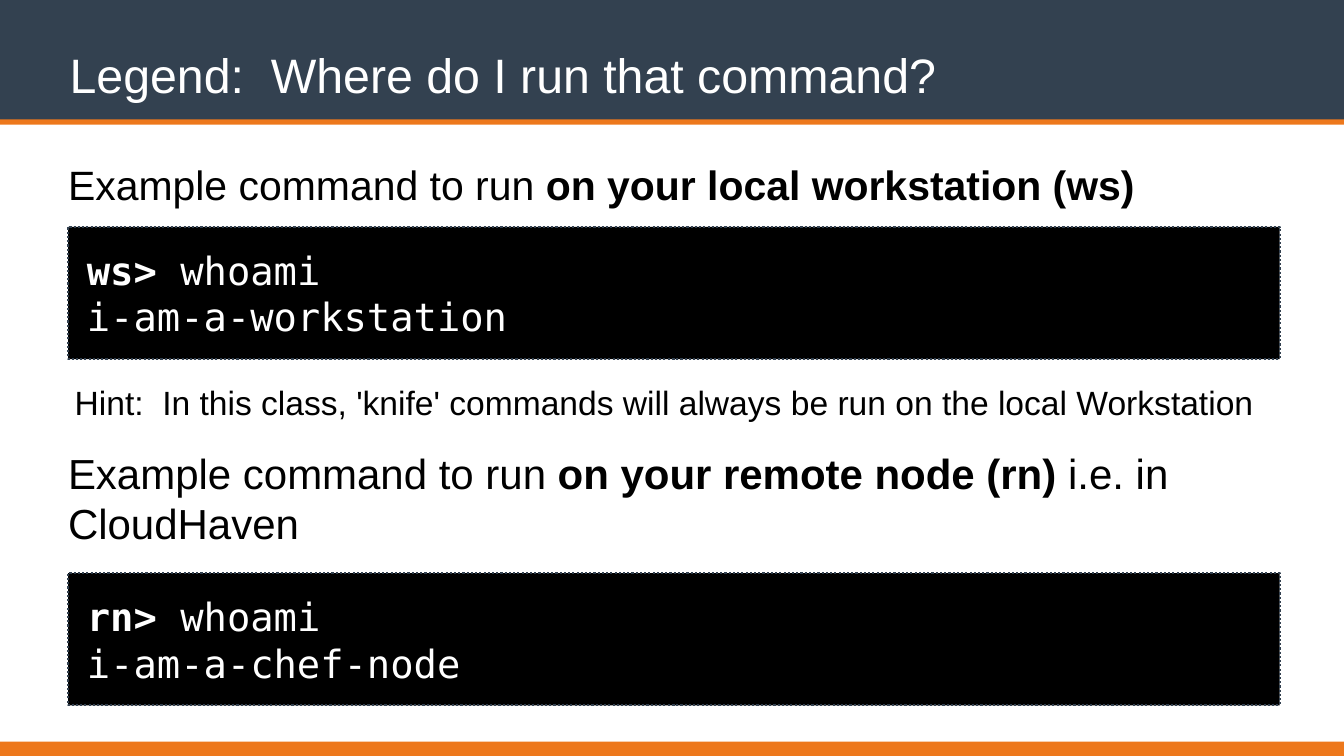
from lxml import etree
from pptx import Presentation
from pptx.dml.color import RGBColor
from pptx.enum.dml import MSO_LINE
from pptx.enum.shapes import MSO_SHAPE
from pptx.enum.text import MSO_ANCHOR, MSO_AUTO_SIZE, PP_ALIGN
from pptx.oxml import parse_xml
from pptx.oxml.ns import nsdecls
from pptx.util import Pt

COLORS = {"slate": "334150", "orange": "ED781C", "black": "000000", "white": "FFFFFF"}
SANS, MONO = "Arial", "DejaVu Sans Mono"
WIDTH, HEIGHT = 1280.16, 720
LEFT, PANEL_WIDTH, PANEL_HEIGHT = 64.8, 1154.16, 126

TITLE = "Legend:  Where do I run that command?"
HINT = "Hint:  In this class, 'knife' commands will always be run on the local Workstation"
# top, height, color
BARS = [(0, 118, "slate"), (113.76, 5.04, "orange"), (706.32, 13.68, "orange")]
# Each paragraph is a list of (text, bold) spans.
EXAMPLES = [
    {"label": [("Example command to run ", False), ("on your local workstation (ws)", True)],
     "label_box": (LEFT, 151.2, 1058.4, 48.96), "size": 39, "panel_top": 216,
     "code": [[("ws> ", True), ("whoami", False)], [("i-am-a-workstation", False)]]},
    {"label": [("Example command to run ", False), ("on your remote node (rn) ", True),
               ("i.e. in CloudHaven", False)],
     "label_box": (LEFT, 450, 1215.36, 48.24), "size": 40, "panel_top": 545.76,
     "code": [[("ws> ".replace("ws", "rn"), True), ("whoami", False)],
              [("i-am-a-chef-node", False)]]},
]


def rgb(name):
    return RGBColor.from_string(COLORS[name])


def place(shape, left, top, width, height):
    shape.left, shape.top, shape.width, shape.height = map(Pt, (left, top, width, height))


def add_rectangle(slide, box, color):
    shape = slide.shapes.add_shape(MSO_SHAPE.RECTANGLE, *map(Pt, box))
    shape.shadow.inherit = False
    shape.fill.solid()
    shape.fill.fore_color.rgb = rgb(color)
    shape.line.fill.background()
    return shape


def write(shape, paragraphs, size, font, color, inset=0, anchor=MSO_ANCHOR.MIDDLE, wrap=True):
    frame = shape.text_frame
    frame.word_wrap, frame.vertical_anchor = wrap, anchor
    frame.auto_size = MSO_AUTO_SIZE.NONE
    frame.margin_left = frame.margin_right = Pt(inset)
    frame.margin_top = frame.margin_bottom = Pt(inset)
    for index, spans in enumerate(paragraphs):
        para = frame.add_paragraph() if index else frame.paragraphs[0]
        para.alignment = PP_ALIGN.LEFT
        for text, bold in spans:
            span = para.add_run()
            span.text = text
            span.font.size, span.font.name, span.font.bold = Pt(size), font, bold
            span.font.color.rgb = rgb(color)


def add_text_shadow(span):
    effect = parse_xml(
        f'<a:effectLst {nsdecls("a")}><a:outerShdw blurRad="38100" dist="38100" dir="2700000">'
        '<a:srgbClr val="000000"><a:alpha val="60000"/></a:srgbClr></a:outerShdw></a:effectLst>')
    span.font.fill._xPr.find(etree.QName(effect.nsmap["a"], "solidFill").text).addnext(effect)


def main():
    deck = Presentation()
    deck.slide_width, deck.slide_height = Pt(WIDTH), Pt(HEIGHT)
    slide = deck.slides.add_slide(deck.slide_layouts[5])

    title = slide.shapes.title
    for top, height, color in BARS:
        bar = add_rectangle(slide, (0, top, WIDTH, height), color)
        title._element.addprevious(bar._element)

    place(title, 63.36, 13.68, PANEL_WIDTH, 87.84)
    write(title, [[(TITLE, False)]], 46, SANS, "white", 3, MSO_ANCHOR.BOTTOM)
    add_text_shadow(title.text_frame.paragraphs[0].runs[0])

    for example in EXAMPLES:
        label = slide.shapes.add_textbox(*map(Pt, example["label_box"]))
        write(label, [example["label"]], example["size"], SANS, "black")
        panel = add_rectangle(
            slide, (LEFT, example["panel_top"], PANEL_WIDTH, PANEL_HEIGHT), "black")
        panel.line.color.rgb = rgb("slate")
        panel.line.width = Pt(2)
        panel.line.dash_style = MSO_LINE.ROUND_DOT
        write(panel, example["code"], 37, MONO, "white", 18)

    hint = slide.shapes.add_textbox(Pt(64), Pt(360), Pt(1150), Pt(46))
    write(hint, [[(HINT, False)]], 32, SANS, "black", 7.2, wrap=False)

    deck.save("out.pptx")


if __name__ == "__main__":
    main()
